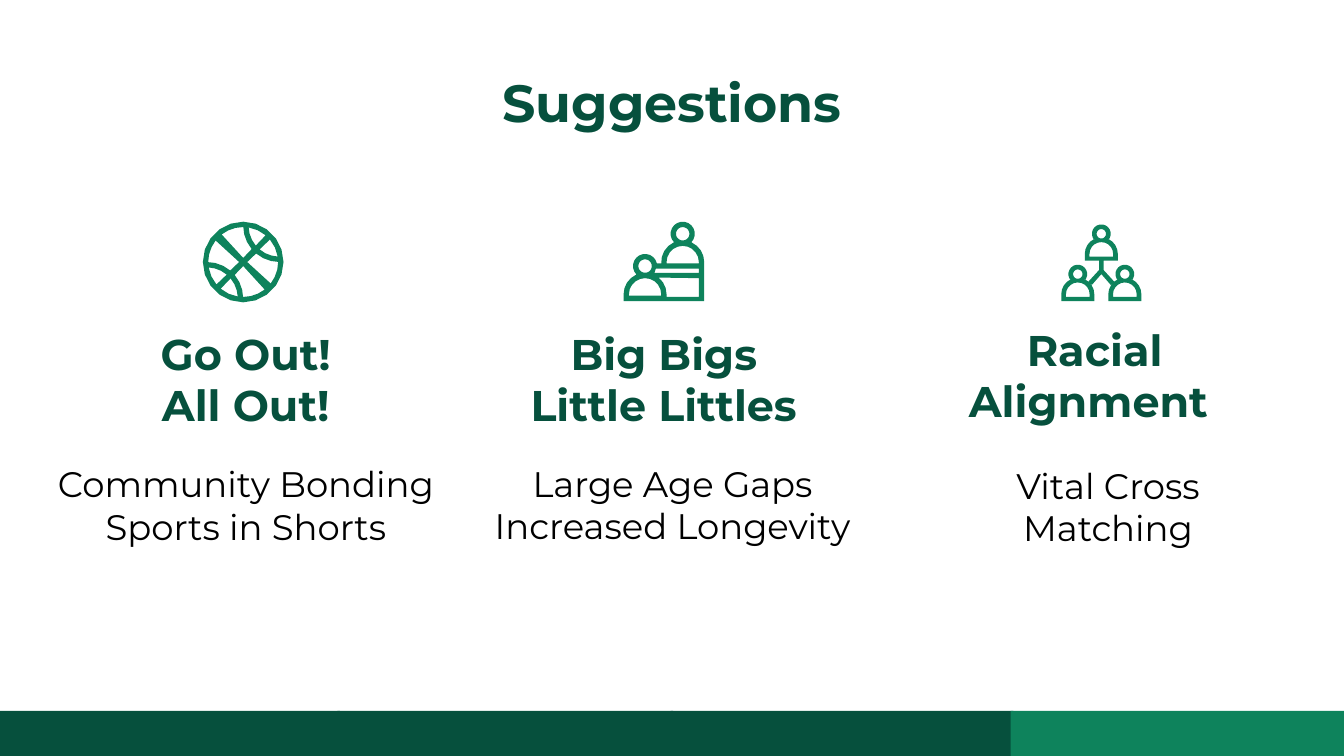
"""Build the Suggestions slide: three icon columns above a two-tone footer."""
from dataclasses import dataclass
from itertools import pairwise
from math import ceil, cos, radians, sin

from pptx import Presentation
from pptx.dml.color import RGBColor
from pptx.enum.shapes import MSO_SHAPE
from pptx.enum.text import MSO_ANCHOR, MSO_AUTO_SIZE, PP_ALIGN
from pptx.util import Emu, Inches, Pt

DARK_GREEN = RGBColor(0x06, 0x50, 0x3D)
GREEN = RGBColor(0x0E, 0x83, 0x5C)
BLACK = RGBColor(0, 0, 0)
FONT = "Montserrat"
CELL = Inches(0.1)
COLUMNS, ROWS = 100, 56.25
FOOTER_TOP, FOOTER_ROWS, FOOTER_OVERLAP = 52.9, 3.4, 0.2
FOOTER_EDGES = (0, 25.1, 49.9, 75.2, COLUMNS)

Point = tuple[float, float]
Contour = list[Point]


@dataclass(frozen=True)
class Area:
    """A rectangle in grid columns and rows."""
    column: float
    row: float
    columns: float
    rows: float

    def emu(self) -> tuple[Emu, ...]:
        """Return left, top, width and height."""
        return tuple(map(grid, (self.column, self.row, self.columns, self.rows)))


@dataclass(frozen=True)
class Suggestion:
    """A heading and its detail with their areas."""
    heading: str
    heading_area: Area
    detail: str
    detail_area: Area


SUGGESTIONS = (
    Suggestion("Go Out! All Out!", Area(9.1, 23.35, 18.4, 5.7),
               "Community Bonding Sports in Shorts", Area(1.25, 33.4, 34.1, 10.1)),
    Suggestion("Big Bigs Little Littles", Area(37, 23.35, 24.8, 5.7),
               "Large Age Gaps Increased Longevity", Area(35.35, 33.35, 29.4, 10.1)),
    Suggestion("Racial Alignment ", Area(67.4, 23.05, 28.1, 10.1),
               "Vital Cross Matching", Area(70.45, 33.5, 24, 7.1)),
)


def grid(cells: float) -> Emu:
    """Convert grid cells to EMU."""
    return Emu(round(cells * CELL))


def write(shape, text: str, *, size: float, color: RGBColor, bold: bool = False) -> None:
    """Fill a shape with one centred, wrapped paragraph."""
    frame = shape.text_frame
    frame.word_wrap = True
    frame.auto_size = MSO_AUTO_SIZE.NONE
    frame.vertical_anchor = MSO_ANCHOR.TOP
    frame.margin_left = frame.margin_right = frame.margin_top = frame.margin_bottom = CELL
    paragraph = frame.paragraphs[0]
    paragraph.alignment = PP_ALIGN.CENTER
    paragraph.space_before = Pt(0)
    run = paragraph.add_run()
    run.text = text
    run.font.name = FONT
    run.font.size = Pt(size)
    run.font.bold = bold
    run.font.color.rgb = color


def paint(shape, color: RGBColor) -> None:
    """Give a shape a flat fill without line or shadow."""
    shape.shadow.inherit = False
    shape.fill.solid()
    shape.fill.fore_color.rgb = color
    shape.line.fill.background()


def arc(center: Point, radius: float, start: float, end: float) -> Contour:
    """Sample an arc between two angles in either direction."""
    steps = ceil(abs(end - start) / 18)
    angles = [radians(start + (end - start) * step / steps) for step in range(steps + 1)]
    return [(center[0] + radius * cos(angle), center[1] + radius * sin(angle)) for angle in angles]


def icon(slide, contours: list[Contour]) -> None:
    """Draw silhouettes with their holes as one shape."""
    builder = None
    for contour in contours:
        first, *rest = [(grid(x), grid(y)) for x, y in contour]
        if builder is None:
            builder = slide.shapes.build_freeform(*first)
        else:
            builder.move_to(*first)
        builder.add_line_segments(rest, close=True)
    paint(builder.convert_to_shape(), GREEN)


def bust(head: Point, head_radius: float, radius: float, drop: float, base: float) -> Contour:
    """Outline a head joined to domed shoulders."""
    x, y = head
    chest = (x, y + drop)
    return [*arc(head, head_radius, 135, 405), *arc(chest, radius, -65, 0),
            (x + radius, y + base), (x - radius, y + base), *arc(chest, radius, 180, 245)]


def bust_holes(head: Point, head_radius: float, radius: float,
               drop: float, base: float) -> list[Contour]:
    """Outline the openings in a head and in its shoulders."""
    x, y = head
    shoulders = [*arc((x, y + drop), radius, 180, 360), (x + radius, y + base), (x - radius, y + base)]
    return [arc(head, head_radius, 0, 360), shoulders]


def basketball(center: Point) -> list[Contour]:
    """Outline a ball whose eight panels mirror two of them."""
    x, y = center
    hub, seam = (0, 0), (2.7, -2.7)
    tip = arc(hub, 2.6, -81, -50) + arc(seam, 2.3, 140, 178)
    flank = arc(hub, 2.6, -128, -90) + arc(seam, 2.7, 180, 140) + [(0, -0.3)]
    panels = [panel for half in (tip, flank) for panel in (half, [(-v, -u) for u, v in half])]
    return [arc(center, 3, 0, 360)] + [
        [(x + side * u, y + side * v) for u, v in panel] for panel in panels for side in (1, -1)]


def big_and_little(big: Point, little: Point) -> list[Contour]:
    """Outline a large figure at a desk behind a small one."""
    big_chest, little_chest = ((x, y + 2.1) for x, y in (big, little))
    left, right, floor = little[0] - 1.6, big[0] + 1.6, little[1] + 2.6
    silhouette = [*arc(big, 0.9, 135, 405), *arc(big_chest, 1.6, -65, 0),
                  (right, floor), (left, floor), *arc(little_chest, 1.6, 180, 245),
                  *arc(little, 0.9, 135, 347), *arc(big_chest, 1.6, 176, 245)]
    inner = right - 0.4
    desk_top = [(48.8, 20), (inner, 20), (inner, 20.3), (48.7, 20.3)]
    desk_front = [(inner, 20.7), (inner, floor - 0.3), (49.6, floor - 0.3),
                  *arc(little_chest, 1.6, 0, -51)]
    return [silhouette, desk_top, desk_front,
            *bust_holes(big, 0.5, 1.2, 2.1, 2.2), *bust_holes(little, 0.5, 1.2, 2.1, 2.2)]


def network(center: float) -> list[Contour]:
    """Outline three linked people."""
    links = [(-0.17, 19.4), (-0.17, 20.1), (-0.95, 20.95), (-0.7, 21.2), (0, 20.4),
             (0.7, 21.2), (0.95, 20.95), (0.17, 20.1), (0.17, 19.4)]
    contours = [[(center + x, y) for x, y in links]]
    for head in ((center, 17.4), (center - 1.75, 20.4), (center + 1.75, 20.4)):
        contours.append(bust(head, 0.7, 1.23, 1.5, 2))
        contours.extend(bust_holes(head, 0.35, 0.88, 1.5, 1.7))
    return contours


def footer(slide) -> None:
    """Draw the overlapping footer segments, the last one lighter."""
    for left, right in pairwise(FOOTER_EDGES):
        end = min(right + FOOTER_OVERLAP, COLUMNS)
        area = Area(left, FOOTER_TOP, end - left, FOOTER_ROWS)
        segment = slide.shapes.add_shape(MSO_SHAPE.RECTANGLE, *area.emu())
        paint(segment, GREEN if right == COLUMNS else DARK_GREEN)


def main() -> None:
    """Build and save the slide."""
    deck = Presentation()
    deck.slide_width, deck.slide_height = grid(COLUMNS), grid(ROWS)
    slide = deck.slides.add_slide(deck.slide_layouts.get_by_name("Title Only"))
    title = slide.shapes.title
    title.left, title.top, title.width, title.height = Area(7.85, 4.2, 84.3, 6.3).emu()
    write(title, "Suggestions", size=28, color=DARK_GREEN, bold=True)
    for suggestion in SUGGESTIONS:
        heading = slide.shapes.add_textbox(*suggestion.heading_area.emu())
        write(heading, suggestion.heading, size=23, color=DARK_GREEN, bold=True)
        detail = slide.shapes.add_textbox(*suggestion.detail_area.emu())
        write(detail, suggestion.detail, size=19, color=BLACK)
    icon(slide, basketball((18.1, 19.5)))
    icon(slide, big_and_little((50.8, 17.4), (48, 19.8)))
    icon(slide, network(81.95))
    footer(slide)
    deck.save("out.pptx")


if __name__ == "__main__":
    main()
